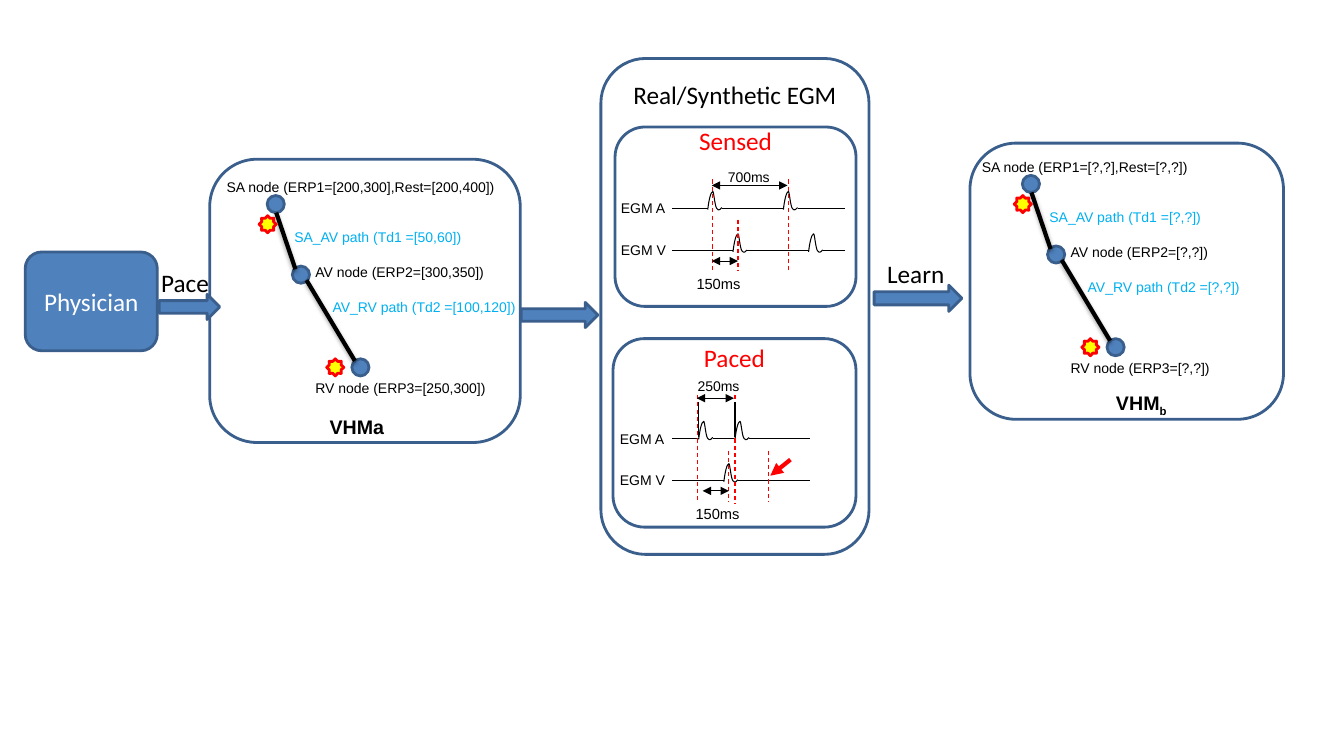
import pptx
import pptx.util
import pptx.dml.color
import pptx.enum.dml
import pptx.enum.shapes
import pptx.enum.text
import pptx.oxml
import pptx.oxml.ns
from lxml import etree

Inches, Pt, qn = pptx.util.Inches, pptx.util.Pt, pptx.oxml.ns.qn
PRESET = pptx.enum.shapes.MSO_SHAPE
BLACK, WHITE, RED, YELLOW = "000000", "FFFFFF", "FF0000", "FFFF00"
BLUE, EDGE, CYAN = "4F81BD", "3A5F8C", "00B0F0"

# Heart models: origin is the SA node; frame and name are (left, top, width, height)
MODELS = [
    dict(origin=(2.65, 1.94), frame=(2.08, 1.58, 3.08, 2.81),
         name=("VHMa", "", (3.17, 4.07, 0.75, 0.34)),
         labels=[("SA node (ERP1=[200,300],Rest=[200,400])", 2.88),
                 ("AV node (ERP2=[300,350])", 1.89), ("RV node (ERP3=[250,300])", 1.9),
                 ("SA_AV path (Td1 =[50,60])", 1.88), ("AV_RV path (Td2 =[100,120])", 2.04)]),
    dict(origin=(10.14, 1.74), frame=(9.62, 1.42, 3.11, 2.74),
         name=("VHM", "b", (10.97, 3.83, 0.72, 0.34)),
         labels=[("SA node (ERP1=[?,?],Rest=[?,?])", 2.26),
                 ("AV node (ERP2=[?,?])", 1.59), ("RV node (ERP3=[?,?])", 1.59),
                 ("SA_AV path (Td1 =[?,?])", 1.72), ("AV_RV path (Td2 =[?,?])", 1.73)]),
]
# Offsets from the SA node
NODE_SIZE = 0.17
NODES = [(0, 0), (0.25, 0.7), (0.84, 1.62)]
PACING_SITES = [(-0.08, 0.2), (0.59, 1.62)]
CONDUCTION = [((0.09, 0.17), (0.28, 0.73)), ((0.39, 0.84), (0.87, 1.64))]
LABEL_SPOTS = [(-0.5, -0.22, BLACK), (0.38, 0.63, BLACK), (0.38, 1.78, BLACK),
               (0.17, 0.28, CYAN), (0.55, 0.97, CYAN)]

# EGM panels: heading, frame, top margin of the heading, colour
PANELS = [("Real/Synthetic EGM", (5.96, 0.58, 2.66, 4.92), 0.08, BLACK),
          ("Sensed", (6.1, 1.26, 2.39, 1.78), -0.1, RED),
          ("Paced", (6.08, 3.36, 2.41, 1.87), -0.05, RED)]
# Traces: name, label box, baseline, end of the line, starts of the pulses
TRACE_START = 6.67
TRACES = [("EGM A", (6.06, 1.93, 0.65, 0.27), 2.07, 8.38, [7.02, 7.77]),
          ("EGM V", (6.06, 2.35, 0.68, 0.28), 2.49, 8.38, [7.27, 8.02]),
          ("EGM A", (6.05, 4.22, 0.65, 0.27), 4.35, 8.03, [6.93, 7.29]),
          ("EGM V", (6.05, 4.63, 0.68, 0.28), 4.77, 8.03, [7.18])]
# Pulse as Bezier points, relative to its start and the baseline
PULSE = [(0, 0.01), (0.01, -0.08), (0.03, -0.17), (0.05, -0.17), (0.06, -0.17),
         (0.07, -0.02), (0.09, 0), (0.11, 0.03), (0.13, 0), (0.14, -0.01)]
# Event markers and pacing spikes: x, top, bottom
MARKERS = [(7.07, 1.78, 2.69), (7.32, 2.18, 2.69), (7.82, 1.78, 2.7), (6.92, 3.92, 4.99),
           (7.23, 4.47, 4.98), (7.29, 3.92, 5), (7.62, 4.47, 4.98)]
SPIKES = [(6.93, 3.99, 4.34), (7.29, 3.99, 4.34)]
# Intervals: text, text box, size, then arrow left, right and height
INTERVALS = [("700ms", (7.12, 1.62, 0.62, 0.27), 10, (7.06, 7.81, 1.84)),
             ("150ms", (6.81, 2.68, 0.65, 0.28), 10.5, (7.06, 7.32, 2.59)),
             ("250ms", (6.82, 3.7, 0.62, 0.27), 10, (6.91, 7.28, 3.95)),
             ("150ms", (6.8, 4.96, 0.65, 0.28), 10.5, (6.97, 7.23, 4.87))]
# Flow between the stages
PHYSICIAN = ("Physician", (0.25, 2.5, 1.31, 0.98))
FLOW_ARROWS = [(1.58, 2.92, 0.6, 0.25), (5.17, 3, 0.76, 0.25), (8.67, 2.83, 0.87, 0.26)]
FLOW_LABELS = [("Pace", (1.5, 2.6, 0.68, 0.4)), ("Learn", (8.7, 2.51, 0.78, 0.4))]

presentation = pptx.Presentation()
presentation.slide_width, presentation.slide_height = Inches(13.33), Inches(7.5)
slide = presentation.slides.add_slide(presentation.slide_layouts[6])


def rgb(value):
    return pptx.dml.color.RGBColor.from_string(value)


def write(frame, text, size, font, color, bold=False):
    paragraph = frame.paragraphs[0]
    paragraph.text = text
    style(paragraph.runs[0], size, font, color, bold)
    return paragraph


def style(run, size, font, color, bold=False):
    run.font.size, run.font.name, run.font.bold = Pt(size), font, bold
    run.font.color.rgb = rgb(color)


def shape(preset, box, fill=None, edge=EDGE):
    item = slide.shapes.add_shape(preset, *map(Inches, box))
    item.shadow.inherit = False
    if fill:
        item.fill.solid()
        item.fill.fore_color.rgb = rgb(fill)
    else:
        item.fill.background()
    item.line.color.rgb, item.line.width = rgb(edge), Pt(2)
    return item


def label(text, box, size=10, font="Arial", color=BLACK, bold=False):
    frame = slide.shapes.add_textbox(*map(Inches, box)).text_frame
    frame.word_wrap = False
    frame.auto_size = pptx.enum.text.MSO_AUTO_SIZE.SHAPE_TO_FIT_TEXT
    return write(frame, text, size, font, color, bold)


def line(start, end, color=BLACK, width=0.75, dashed=False, heads=(), shadow=False):
    item = slide.shapes.add_connector(pptx.enum.shapes.MSO_CONNECTOR.STRAIGHT,
                                      *map(Inches, (*start, *end)))
    item.line.color.rgb, item.line.width = rgb(color), Pt(width)
    if dashed:
        item.line.dash_style = pptx.enum.dml.MSO_LINE.DASH
    for head in heads:
        etree.SubElement(item.line._get_or_add_ln(), qn("a:" + head), type="triangle")
    effects = etree.SubElement(item._element.spPr, qn("a:effectLst"))
    if shadow:
        cast = etree.SubElement(effects, qn("a:outerShdw"), blurRad=str(Pt(3.1)),
                                dist=str(Pt(1.8)), dir="5400000", rotWithShape="0")
        tint = etree.SubElement(cast, qn("a:srgbClr"), val=BLACK)
        etree.SubElement(tint, qn("a:alpha"), val="35000")


def pulse(left, baseline):
    points = [(Inches(left + x), Inches(baseline + y)) for x, y in PULSE]
    builder = slide.shapes.build_freeform(*points[0])
    builder.add_line_segments(points[1:], close=False)
    wave = builder.convert_to_shape()
    wave.shadow.inherit = False
    wave.fill.background()
    wave.line.color.rgb, wave.line.width = rgb(BLACK), Pt(0.75)
    # Every three straight segments become one Bezier curve
    segments = list(wave._element.iter(qn("a:lnTo")))
    for first in range(0, len(segments), 3):
        curve = etree.SubElement(segments[first].getparent(), qn("a:cubicBezTo"))
        for segment in segments[first:first + 3]:
            curve.append(segment[0])
            segment.getparent().remove(segment)


# EGM panels and headings
for heading, box, margin, color in PANELS:
    frame = shape(PRESET.ROUNDED_RECTANGLE, box).text_frame
    frame.vertical_anchor = pptx.enum.text.MSO_ANCHOR.TOP
    frame.margin_top = Inches(margin)
    write(frame, heading, 18, "Calibri", color).alignment = pptx.enum.text.PP_ALIGN.CENTER

# Heart models
for model in MODELS:
    x, y = model["origin"]
    shape(PRESET.ROUNDED_RECTANGLE, model["frame"])
    for dx, dy in NODES:
        shape(PRESET.OVAL, (x + dx, y + dy, NODE_SIZE, NODE_SIZE), BLUE)
    for start, end in CONDUCTION:
        line((x + start[0], y + start[1]), (x + end[0], y + end[1]), width=3, shadow=True)
    for dx, dy in PACING_SITES:
        shape(PRESET.STAR_8_POINT, (x + dx, y + dy, NODE_SIZE, NODE_SIZE), YELLOW, RED)
    for (text, width), (dx, dy, color) in zip(model["labels"], LABEL_SPOTS):
        label(text, (x + dx, y + dy, width, 0.27), color=color)
    name, subscript, box = model["name"]
    paragraph = label(name, box, 14, bold=True)
    if subscript:
        run = paragraph.add_run()
        run.text = subscript
        style(run, 14, "Arial", BLACK, True)
        run.font._element.set("baseline", "-25000")

# EGM traces
for name, box, baseline, end, pulses in TRACES:
    label(name, box)
    starts = [TRACE_START] + [left + PULSE[-1][0] for left in pulses]
    for start, stop in zip(starts, pulses + [end]):
        line((start, baseline), (stop, baseline))
    for left in pulses:
        pulse(left, baseline)

# Event markers, spikes, intervals and the missing beat
for x, top, bottom in MARKERS:
    line((x, top), (x, bottom), RED, dashed=True)
for x, top, bottom in SPIKES:
    line((x, top), (x, bottom))
for text, box, size, (left, right, y) in INTERVALS:
    label(text, box, size)
    line((left, y), (right, y), heads=("headEnd", "tailEnd"))
line((7.84, 4.56), (7.64, 4.72), RED, 3, heads=("tailEnd",))

# Flow
for box in FLOW_ARROWS:
    shape(PRESET.RIGHT_ARROW, box, BLUE)
for text, box in FLOW_LABELS:
    label(text, box, 18, "Calibri")
physician = shape(PRESET.ROUNDED_RECTANGLE, PHYSICIAN[1], BLUE).text_frame
write(physician, PHYSICIAN[0], 18, "Calibri", WHITE).alignment = pptx.enum.text.PP_ALIGN.CENTER

presentation.save("out.pptx")
